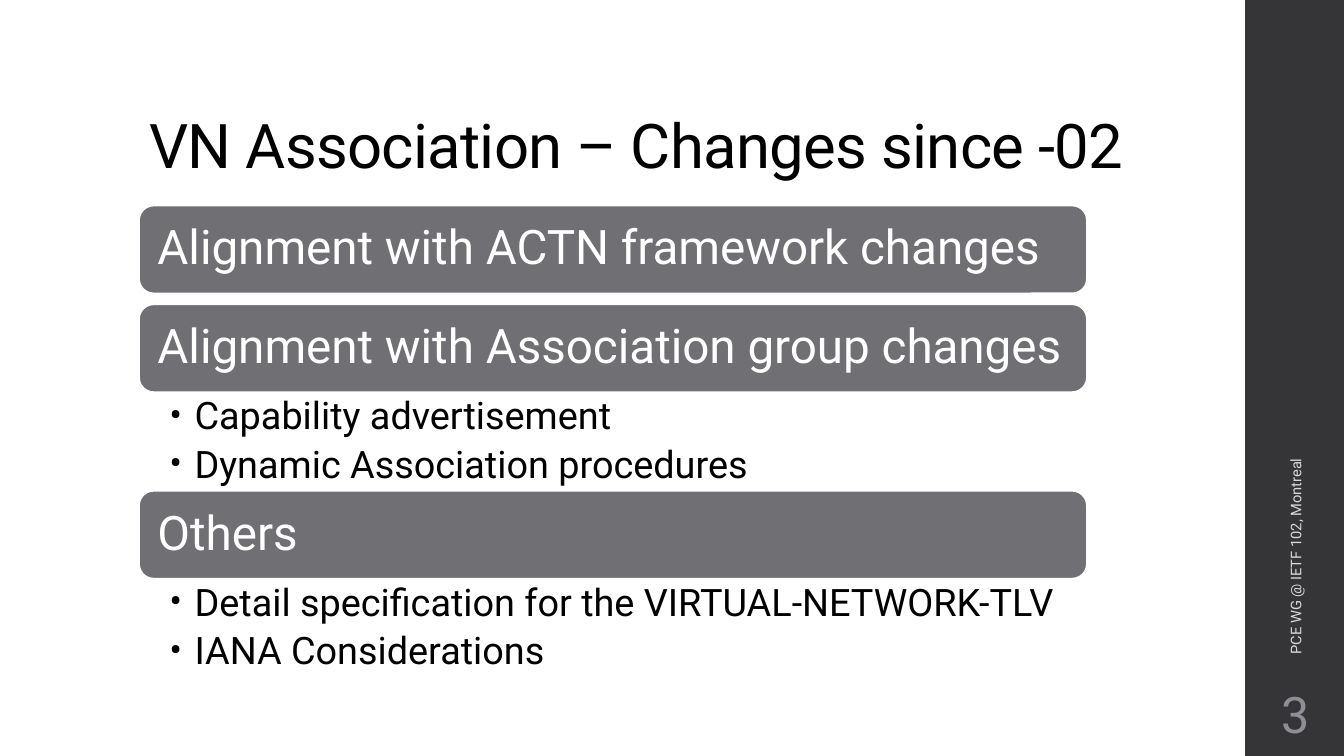
from dataclasses import dataclass

from lxml.etree import SubElement
from pptx import Presentation
from pptx.dml.color import RGBColor
from pptx.enum.shapes import MSO_SHAPE
from pptx.enum.text import MSO_ANCHOR, MSO_AUTO_SIZE, PP_ALIGN
from pptx.oxml.ns import qn
from pptx.util import Inches, Pt

FONT = "Roboto"
COLOURS = {
    "sidebar": "353537",
    "bar": "6F6F74",
    "white": "FFFFFF",
    "black": "000000",
    "footer": "D9D9DB",
    "number": "8E8E94",
}
LEFT, WIDTH = 1.38, 9.4
FIRST_TOP, BAR_HEIGHT, LIST_HEIGHT, BAR_GAP = 2.04, 0.87, 0.98, 0.11


@dataclass
class Topic:
    heading: str
    points: tuple[str, ...] = ()


TOPICS = [
    Topic("Alignment with ACTN framework changes"),
    Topic("Alignment with Association group changes",
          ("Capability advertisement", "Dynamic Association procedures")),
    Topic("Others",
          ("Detail specification for the VIRTUAL-NETWORK-TLV", "IANA Considerations")),
]


def colour(name: str) -> RGBColor:
    return RGBColor.from_string(COLOURS[name])


def add_span(para, text: str, size: float, name: str):
    span = para.add_run()
    span.text = text
    span.font.name = FONT
    span.font.size = Pt(size)
    span.font.color.rgb = colour(name)
    return span


def set_frame(frame, anchor, left: float = 0.1, top: float = 0.05,
              right: float = 0.1, bottom: float = 0.05) -> None:
    frame.word_wrap = True
    frame.auto_size = MSO_AUTO_SIZE.NONE
    frame.vertical_anchor = anchor
    frame.margin_left, frame.margin_right = Inches(left), Inches(right)
    frame.margin_top, frame.margin_bottom = Inches(top), Inches(bottom)


def add_block(page, kind, left: float, top: float, width: float, height: float, fill: str):
    block = page.shapes.add_shape(kind, Inches(left), Inches(top), Inches(width), Inches(height))
    block.shadow.inherit = False
    block.fill.solid()
    block.fill.fore_color.rgb = colour(fill)
    block.line.fill.background()
    return block


def add_box(page, left: float, top: float, width: float, height: float):
    return page.shapes.add_textbox(Inches(left), Inches(top), Inches(width), Inches(height))


def add_bullet(para) -> None:
    properties = para._p.get_or_add_pPr()
    properties.set("marL", str(Inches(0.25)))
    properties.set("indent", str(Inches(-0.25)))
    SubElement(properties, qn("a:buFont")).set("typeface", FONT)
    SubElement(properties, qn("a:buChar")).set("char", "•")


def add_heading(page, top: float, text: str) -> None:
    bar = add_block(page, MSO_SHAPE.ROUNDED_RECTANGLE, LEFT, top, WIDTH, BAR_HEIGHT, "bar")
    bar.line.color.rgb = colour("white")
    bar.line.width = Pt(1.1)
    # The rounded corners inset the text a little further
    set_frame(bar.text_frame, MSO_ANCHOR.MIDDLE, 0.14, 0.14, 0.1, 0.14)
    para = bar.text_frame.paragraphs[0]
    para.alignment = PP_ALIGN.LEFT
    para.line_spacing = 0.9
    add_span(para, text, 34, "white")


def add_points(page, top: float, points: tuple[str, ...]) -> None:
    frame = add_box(page, LEFT, top, WIDTH, LIST_HEIGHT).text_frame
    set_frame(frame, MSO_ANCHOR.TOP, left=0.3, right=0.26)
    for index, point in enumerate(points):
        para = frame.add_paragraph() if index else frame.paragraphs[0]
        para.level = 1
        para.line_spacing = 0.9
        para.space_after = Pt(5.4)
        add_bullet(para)
        add_span(para, point, 27, "black")


def add_title(page, text: str) -> None:
    title = page.shapes.title
    title.left, title.top = Inches(LEFT), Inches(0.4)
    title.width, title.height = Inches(10.6), Inches(1.45)
    set_frame(title.text_frame, MSO_ANCHOR.BOTTOM)
    para = title.text_frame.paragraphs[0]
    para.alignment = PP_ALIGN.LEFT
    para.line_spacing = 0.9
    span = add_span(para, text, 44, "black")
    span.font._element.set("spc", "-50")


def add_sidebar(page) -> None:
    add_block(page, MSO_SHAPE.RECTANGLE, 12.35, 0, 1, 7.5, "sidebar")

    footer = add_box(page, 10.89, 4.43, 3.92, 0.4)
    footer.rotation = 270
    set_frame(footer.text_frame, MSO_ANCHOR.MIDDLE)
    add_span(footer.text_frame.paragraphs[0], "PCE WG @ IETF 102, Montreal", 10.5, "footer")

    number = add_box(page, 12.35, 6.75, 1, 0.65)
    set_frame(number.text_frame, MSO_ANCHOR.MIDDLE, left=0.05, right=0.05)
    para = number.text_frame.paragraphs[0]
    para.alignment = PP_ALIGN.CENTER
    add_span(para, "3", 36, "number")


def main() -> None:
    deck = Presentation()
    deck.slide_width, deck.slide_height = Inches(13.33), Inches(7.5)
    page = deck.slides.add_slide(deck.slide_layouts[5])

    # Title and dark sidebar
    add_title(page, "VN Association – Changes since -02")
    add_sidebar(page)

    # Stacked headings, each followed by its points or a small gap
    top = FIRST_TOP
    for topic in TOPICS:
        add_heading(page, top, topic.heading)
        top += BAR_HEIGHT
        if topic.points:
            add_points(page, top, topic.points)
            top += LIST_HEIGHT
        else:
            top += BAR_GAP

    deck.save("out.pptx")


if __name__ == "__main__":
    main()
